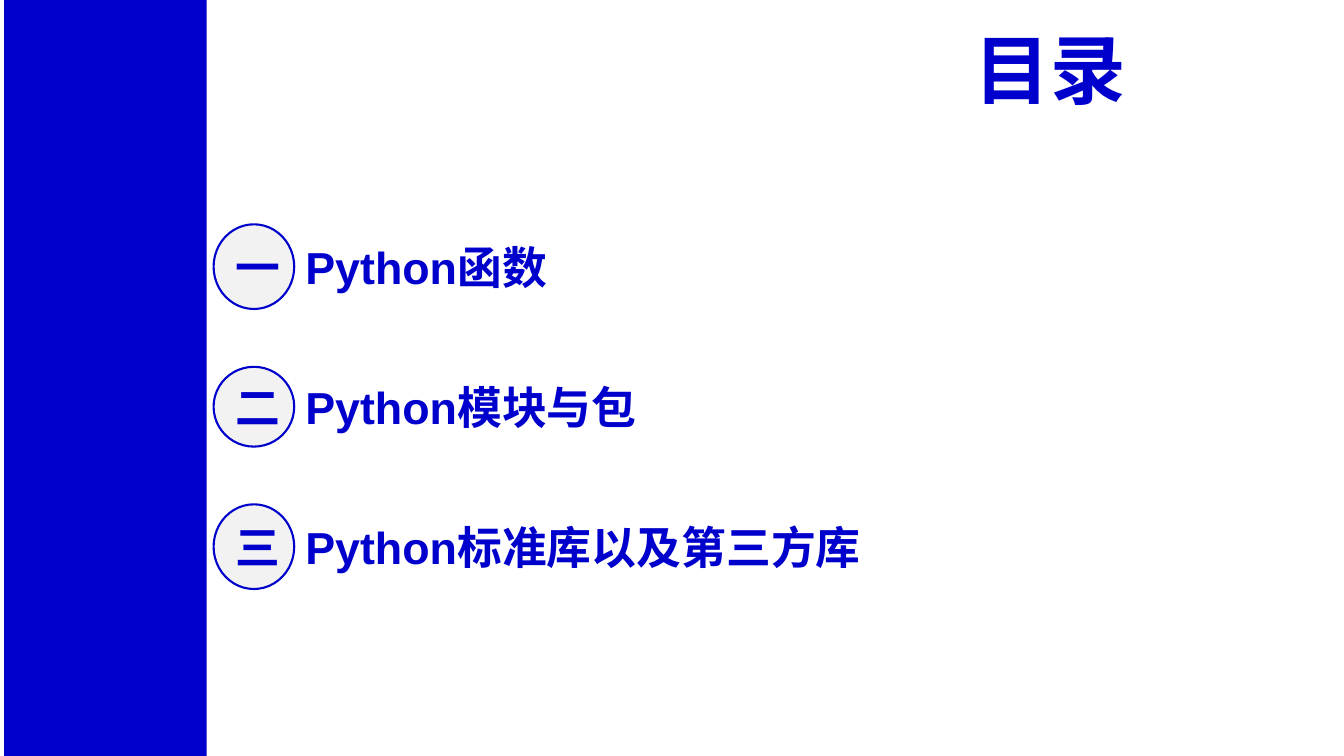
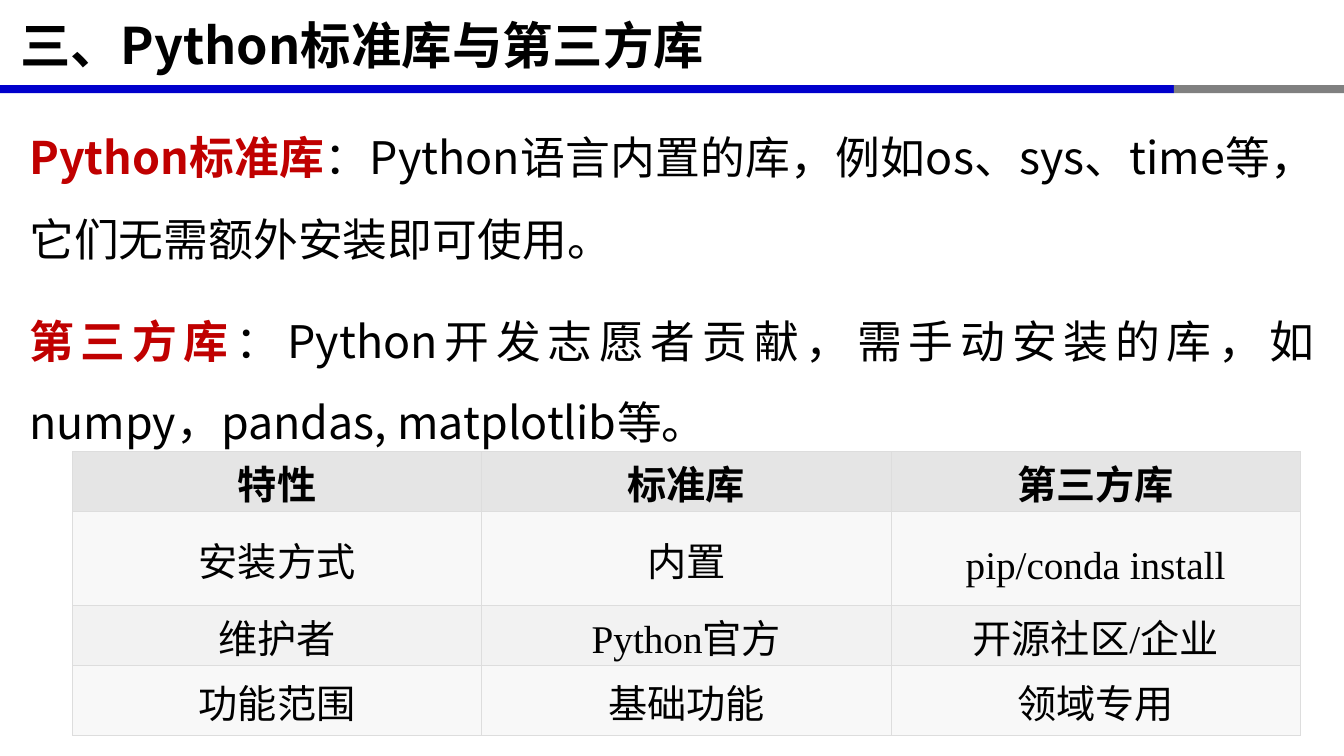
from dataclasses import dataclass

from lxml.etree import SubElement
from pptx import Presentation
from pptx.dml.color import RGBColor
from pptx.enum.shapes import MSO_SHAPE
from pptx.enum.text import MSO_ANCHOR, MSO_AUTO_SIZE, PP_ALIGN
from pptx.oxml import parse_xml
from pptx.oxml.ns import nsdecls, qn
from pptx.util import Pt


@dataclass(frozen=True)
class Theme:
    blue: str = "0000CC"
    grey: str = "808080"
    pale: str = "F2F2F2"
    red: str = "C00000"
    black: str = "000000"
    border: str = "DDDDDD"
    header: str = "E5E5E5"
    row: str = "F8F8F8"
    sans: str = "Arial"
    serif: str = "Times New Roman"
    chinese: str = "Noto Sans CJK SC"
    contents_size: int = 54
    title_size: int = 36
    text_size: int = 32
    table_size: int = 28


theme = Theme()


def write(paragraph, text, color, **formats):
    run = paragraph.add_run()
    run.text = text
    run.font.color.rgb = RGBColor.from_string(color)
    for key, value in formats.items():
        setattr(run.font, key, value)
    SubElement(run.font._element, qn("a:ea")).set("typeface", theme.chinese)


def draw(shapes, preset, box, fill):
    shape = shapes.add_shape(preset, *map(Pt, box))
    shape.shadow.inherit = False
    shape.fill.solid()
    shape.fill.fore_color.rgb = RGBColor.from_string(fill)
    shape.line.fill.background()
    return shape


deck = Presentation()
deck.slide_width, deck.slide_height = Pt(960), Pt(540)

contents = deck.slides.add_slide(deck.slide_layouts[5])
libraries = deck.slides.add_slide(deck.slide_layouts[1])

titles = [
    (contents, "目录", (684.7, 13, 126.7, 73), theme.blue,
     {"size": Pt(theme.contents_size), "name": theme.sans},
     {"vertical_anchor": MSO_ANCHOR.TOP, "word_wrap": False}, PP_ALIGN.RIGHT),
    (libraries, "三、Python标准库与第三方库", (0, 0.7, 829.4, 62.6), theme.black,
     {"size": Pt(theme.title_size), "name": theme.chinese},
     {"vertical_anchor": MSO_ANCHOR.MIDDLE, "margin_left": Pt(14.4)}, PP_ALIGN.LEFT),
]
for slide, text, box, color, formats, frame_formats, alignment in titles:
    title = slide.shapes.title
    title.left, title.top, title.width, title.height = map(Pt, box)
    frame = title.text_frame
    frame.auto_size = MSO_AUTO_SIZE.NONE
    for key, value in frame_formats.items():
        setattr(frame, key, value)
    frame.paragraphs[0].alignment = alignment
    write(frame.paragraphs[0], text, color, bold=True, **formats)

draw(contents.shapes, MSO_SHAPE.RECTANGLE, (2.9, 0, 144.7, 540), theme.blue)
chapters = [
    ("一", "Python函数", 60.5, 466),
    ("二", "Python模块与包", 57, 446),
    ("三", "Python标准库以及第三方库", 60.5, 487),
]
for index, (number, name, height, width) in enumerate(chapters):
    middle = 190.5 + 100 * index
    chapter = contents.shapes.add_group_shape().shapes
    badge = draw(chapter, MSO_SHAPE.OVAL,
                 (152.6, middle - height / 2, 57.6, height), theme.pale)
    badge.line.color.rgb = RGBColor.from_string(theme.blue)
    badge.line.width = Pt(1.5)
    label = chapter.add_textbox(*map(Pt, (211, middle - 23, width, 46)))
    for shape, text, font, alignment in (
        (badge, number, theme.chinese, PP_ALIGN.CENTER),
        (label, name, theme.sans, PP_ALIGN.LEFT),
    ):
        frame = shape.text_frame
        frame.word_wrap = True
        frame.vertical_anchor = MSO_ANCHOR.MIDDLE
        frame.paragraphs[0].alignment = alignment
        write(frame.paragraphs[0], text, theme.blue,
              size=Pt(theme.text_size), name=font, bold=True)

for left, width, color in ((0, 838.5, theme.blue), (838.5, 121.5, theme.grey)):
    draw(libraries.shapes, MSO_SHAPE.RECTANGLE, (left, 60.8, width, 5.8), color)

definitions = [
    ("Python标准库", "：Python语言内置的库，例如os、sys、time等，它们无需额外安装即可使用。"),
    ("第三方库", "：Python开发志愿者贡献，需手动安装的库，如numpy，pandas, matplotlib等。"),
]
body = libraries.placeholders[1]
body.left, body.top, body.width, body.height = map(Pt, (13.7, 67.7, 933.1, 252.7))
body.text_frame.auto_size = MSO_AUTO_SIZE.NONE
body.text_frame.margin_top = Pt(5.6)
for index, (term, meaning) in enumerate(definitions):
    paragraph = body.text_frame.add_paragraph() if index else body.text_frame.paragraphs[0]
    spacing = {"alignment": PP_ALIGN.JUSTIFY, "line_spacing": Pt(58),
               "space_before": Pt(15 * index), "space_after": Pt(0)}
    for key, value in spacing.items():
        setattr(paragraph, key, value)
    properties = paragraph._p.get_or_add_pPr()
    properties.set("marL", "0")
    properties.set("indent", "0")
    SubElement(properties, qn("a:buNone"))
    for text, color, bold in ((term, theme.red, True), (meaning, theme.black, False)):
        write(paragraph, text, color, size=Pt(theme.text_size),
              name=theme.chinese, bold=bold)

comparison = [
    ("特性", "标准库", "第三方库"),
    ("安装方式", "内置", "pip/conda install"),
    ("维护者", "Python官方", "开源社区/企业"),
    ("功能范围", "基础功能", "领域专用"),
]
row_heights = (42.5, 67.5, 42.5, 50.5)
row_fills = (theme.header, theme.row, theme.pale, theme.row)
table = libraries.shapes.add_table(4, 3, *map(Pt, (51.8, 322.6, 877, 203))).table
table.horz_banding = False
for column in table.columns:
    column.width = Pt(877 / 3)
for index, (texts, height, fill) in enumerate(zip(comparison, row_heights, row_fills)):
    table.rows[index].height = Pt(height)
    for cell, text in zip(table.rows[index].cells, texts):
        cell_formats = {"vertical_anchor": MSO_ANCHOR.MIDDLE,
                        "margin_top": Pt(8), "margin_bottom": Pt(0)}
        for key, value in cell_formats.items():
            setattr(cell, key, value)
        cell.fill.solid()
        cell.fill.fore_color.rgb = RGBColor.from_string(fill)
        for place, side in enumerate(("lnL", "lnR", "lnT", "lnB")):
            cell._tc.get_or_add_tcPr().insert(place, parse_xml(
                f'<a:{side} {nsdecls("a")} w="{Pt(0.75)}"><a:solidFill>'
                f'<a:srgbClr val="{theme.border}"/></a:solidFill></a:{side}>'))
        paragraph = cell.text_frame.paragraphs[0]
        paragraph.alignment = PP_ALIGN.CENTER
        paragraph.line_spacing = Pt(34)
        write(paragraph, text, theme.black, size=Pt(theme.table_size),
              name=theme.serif, bold=index == 0)

deck.save("out.pptx")
